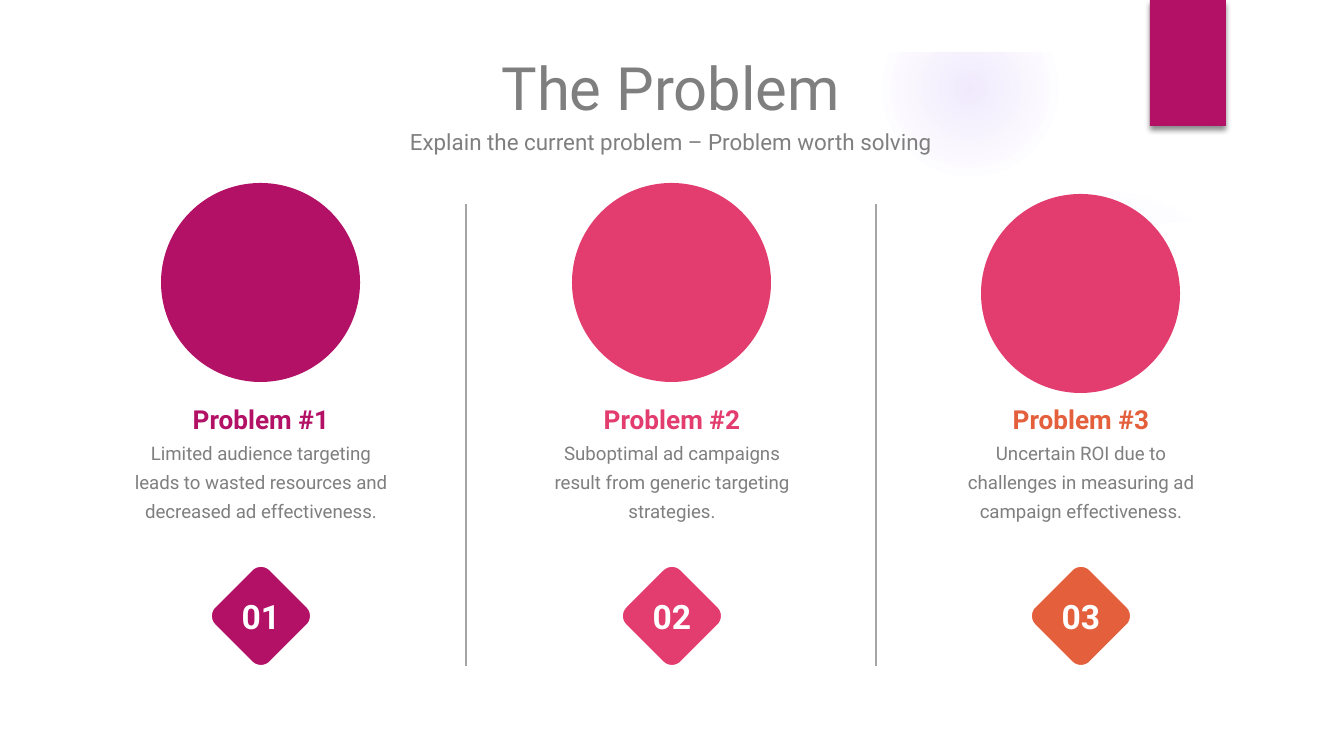
from copy import deepcopy
from math import cos, radians, sin

from lxml import etree
from pptx import Presentation
from pptx import util as u
from pptx.dml.color import RGBColor
from pptx.enum import shapes, text
from pptx.oxml import ns

PX = 914400 / 134.4
FONT = "Roboto"
PLUM = RGBColor(0xB3, 0x11, 0x66)
PINK = RGBColor(0xE3, 0x3D, 0x6F)
ORANGE = RGBColor(0xE4, 0x5F, 0x3C)
GREY = RGBColor(0x7F, 0x7F, 0x7F)
RULE = RGBColor(0xA5, 0xA5, 0xA5)
VIOLET = RGBColor(0x9B, 0x6B, 0xF2)
WHITE = RGBColor(0xFF, 0xFF, 0xFF)
BLACK = RGBColor(0, 0, 0)

PROBLEMS = [
    (261, 183, PLUM, PLUM, "Limited audience targeting leads to wasted resources "
     "and decreased ad effectiveness."),
    (672, 183, PINK, PINK, "Suboptimal ad campaigns result from generic targeting strategies."),
    (1081, 194, PINK, ORANGE, "Uncertain ROI due to challenges in measuring ad campaign "
     "effectiveness."),
]
PANEL = [(51, 206), (188, 223), (405, 241), (672, 250), (900, 246), (1068, 234),
         (1181, 222), (1294, 206), (1294, 706), (51, 706)]


def px(*lengths):
    """Turn pixel lengths into EMU."""
    return [u.Emu(round(length * PX)) for length in lengths]


def alpha_color(color, percent):
    """Return the XML of a partly transparent colour."""
    return f'<a:srgbClr val="{color}"><a:alpha val="{percent * 1000}"/></a:srgbClr>'


def drawing_xml(markup):
    """Parse one DrawingML element written with the a: prefix."""
    root = etree.fromstring(f'<root xmlns:a="{ns.nsuri("a")}">{markup}</root>')
    return root[0]


def paint(shape, color):
    """Give a shape a flat fill without line or shadow."""
    shape.shadow.inherit = False
    shape.fill.solid()
    shape.fill.fore_color.rgb = color
    shape.line.fill.background()
    return shape


def add_preset(slide, preset, box, color):
    """Add a flat preset shape."""
    return paint(slide.shapes.add_shape(preset, *px(*box)), color)


def add_outline(slide, points, color):
    """Add a flat closed outline through pixel points."""
    corners = [px(*point) for point in points]
    builder = slide.shapes.build_freeform(*corners[0])
    builder.add_line_segments(corners[1:])
    return paint(builder.convert_to_shape(), color)


def add_glow(slide, box, stops):
    """Add a circle that fades outward from its centre."""
    glow = add_preset(slide, shapes.MSO_SHAPE.OVAL, box, VIOLET)
    steps = "".join(f'<a:gs pos="{at * 1000}">{alpha_color(VIOLET, percent)}</a:gs>'
                    for at, percent in stops)
    centre = '<a:fillToRect l="50000" t="50000" r="50000" b="50000"/>'
    gradient = drawing_xml(f'<a:gradFill><a:gsLst>{steps}</a:gsLst>'
                           f'<a:path path="circle">{centre}</a:path></a:gradFill>')
    properties = glow._element.spPr
    properties.replace(properties.find(ns.qn("a:solidFill")), gradient)


def add_ribbon(slide):
    """Add the corner ribbon with its soft drop shadow."""
    ribbon = add_preset(slide, shapes.MSO_SHAPE.RECTANGLE, (1150, 0, 76, 126), PLUM)
    effects = ribbon._element.spPr.find(ns.qn("a:effectLst"))
    effects.append(drawing_xml(
        f'<a:outerShdw blurRad="{u.Pt(3)}" dist="{u.Pt(2)}" dir="5400000" '
        f'rotWithShape="0">{alpha_color(BLACK, 45)}</a:outerShdw>'))


def style_run(run, size, color, bold=False):
    """Format one run."""
    run.font.name = FONT
    run.font.size = u.Pt(size)
    run.font.bold = bold
    run.font.color.rgb = color


def fill_text(frame, words, styles, anchor):
    """Set centred text in a frame without insets and style its runs."""
    frame.word_wrap = True
    frame.auto_size = text.MSO_AUTO_SIZE.NONE
    frame.vertical_anchor = anchor
    frame.margin_left = frame.margin_right = frame.margin_top = frame.margin_bottom = 0
    paragraph = frame.paragraphs[0]
    paragraph.text = words
    paragraph.alignment = text.PP_ALIGN.CENTER
    for run, style in zip(paragraph.runs, styles):
        style_run(run, *style)
    return paragraph


def add_heading(slide):
    """Place the title and the line under it."""
    title = slide.shapes.title
    title.left, title.top, title.width, title.height = px(56, 50, 1230, 73)
    middle = text.MSO_ANCHOR.MIDDLE
    fill_text(title.text_frame, "The Problem", [(32, GREY)], middle)
    subtitle = slide.shapes.add_textbox(*px(56, 129, 1230, 26))
    fill_text(subtitle.text_frame, "Explain the current problem – Problem worth solving",
              [(12, GREY)], middle)


def add_divider(slide, x):
    """Add a vertical rule between two columns."""
    divider = slide.shapes.add_connector(shapes.MSO_CONNECTOR.STRAIGHT, *px(x, 204, x, 666))
    divider.line.color.rgb = RULE
    divider.line.width = u.Pt(1)
    etree.SubElement(divider._element.spPr, ns.qn("a:effectLst"))


def add_description(slide, centre, heading, words, color):
    """Add a bold heading with its description on the next line."""
    box = slide.shapes.add_textbox(*px(centre - 127, 394, 254, 159))
    paragraph = fill_text(box.text_frame, f"{heading}\v{words}",
                          [(14, color, True), (10, GREY)], text.MSO_ANCHOR.TOP)
    paragraph.line_spacing = 1.3
    line_break = paragraph._p.find(ns.qn("a:br"))
    line_break.append(deepcopy(paragraph.runs[0]._r.rPr))


def add_badge(slide, centre, number, color):
    """Add a numbered diamond with rounded corners."""
    middle, reach, radius = 616, 37, 13
    points = []
    for corner in range(0, 360, 90):
        for turn in range(corner - 45, corner + 46, 9):
            points.append((
                centre + reach * cos(radians(corner)) + radius * cos(radians(turn)),
                middle + reach * sin(radians(corner)) + radius * sin(radians(turn))))
    badge = add_outline(slide, points, color)
    badge.line.color.rgb = WHITE
    badge.line.width = u.Pt(1)
    fill_text(badge.text_frame, f"{number:02}", [(18, WHITE, True)], text.MSO_ANCHOR.MIDDLE)


def main():
    """Build the problem slide."""
    deck = Presentation()
    deck.slide_width, deck.slide_height = px(1344, 756)
    slide = deck.slides.add_slide(deck.slide_layouts[5])
    add_glow(slide, (949, 185, 311, 311), [(0, 7), (36, 6), (69, 0), (100, 0)])
    add_glow(slide, (882, 1, 176, 176), [(0, 14), (36, 7), (73, 0), (100, 0)])
    add_outline(slide, PANEL, WHITE)
    add_preset(slide, shapes.MSO_SHAPE.RECTANGLE, (0, 0, 1344, 52), WHITE)
    add_ribbon(slide)
    add_heading(slide)
    for x in (466, 876):
        add_divider(slide, x)
    for number, (centre, top, disc, accent, words) in enumerate(PROBLEMS, 1):
        add_preset(slide, shapes.MSO_SHAPE.OVAL, (centre - 100, top, 199, 199), disc)
        add_description(slide, centre, f"Problem #{number}", words, accent)
        add_badge(slide, centre, number, accent)
    title = slide.shapes.title._element
    title.getparent().append(title)
    deck.save("out.pptx")


if __name__ == "__main__":
    main()
